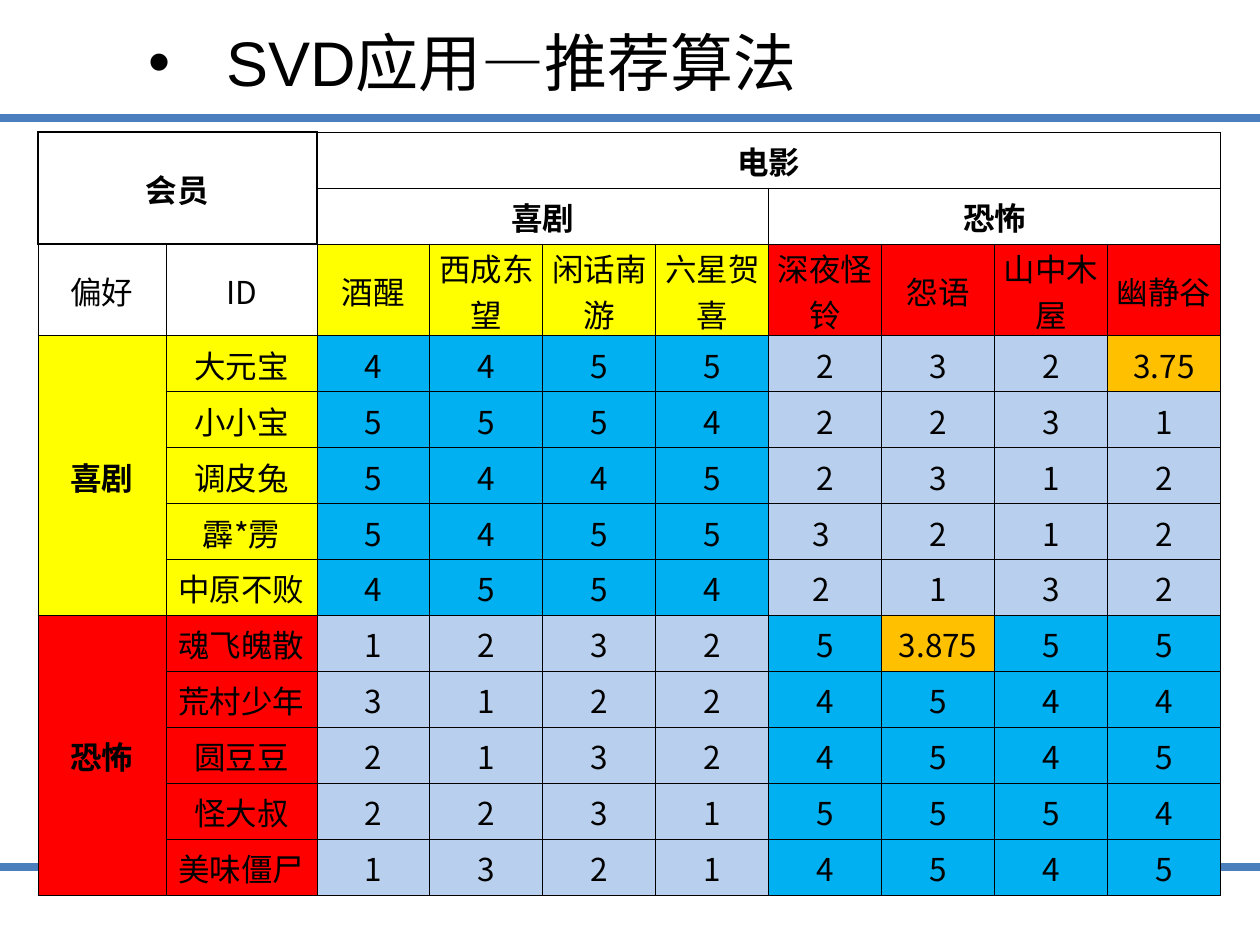
from lxml.etree import SubElement as Sub
from pptx import Presentation
from pptx.dml.color import RGBColor as RGB
from pptx.enum.shapes import MSO_CONNECTOR as CONN
from pptx.enum.text import MSO_ANCHOR as ANCHOR, PP_ALIGN as ALIGN
from pptx.oxml.ns import qn
from pptx.util import Pt

# Content
TITLE = "SVD应用—推荐算法"
FILMS = ["酒醒", "西成东望", "闲话南游", "六星贺喜",
         "深夜怪铃", "怨语", "山中木屋", "幽静谷"]
USERS = [
    ("大元宝", ["4", "4", "5", "5", "2", "3", "2", "3.75"]),
    ("小小宝", ["5", "5", "5", "4", "2", "2", "3", "1"]),
    ("调皮兔", ["5", "4", "4", "5", "2", "3", "1", "2"]),
    ("霹*雳", ["5", "4", "5", "5", "3 ", "2", "1", "2"]),
    ("中原不败", ["4", "5", "5", "4", "2 ", "1", "3", "2"]),
    ("魂飞魄散", ["1", "2", "3", "2", "5", "3.875", "5", "5"]),
    ("荒村少年", ["3", "1", "2", "2", "4", "5", "4", "4"]),
    ("圆豆豆", ["2", "1", "3", "2", "4", "5", "4", "5"]),
    ("怪大叔", ["2", "2", "3", "1", "5", "5", "5", "4"]),
    ("美味僵尸", ["1", "3", "2", "1", "4", "5", "4", "5"]),
]
# Merged heads: row, column, rows, columns, text
HEADS = [
    (0, 0, 2, 2, "会员"), (0, 2, 1, 8, "电影"),
    (1, 2, 1, 4, "喜剧"), (1, 6, 1, 4, "恐怖"),
    (3, 0, 5, 1, "喜剧"), (8, 0, 5, 1, "恐怖"),
]

# Style
BLACK, WHITE = RGB(0, 0, 0), RGB(255, 255, 255)
BLUE = RGB(0x4B, 0x7E, 0xBC)
YELLOW, RED = RGB(255, 255, 0), RGB(255, 0, 0)
HIGH, LOW = RGB(0, 0xB0, 0xF0), RGB(0xB8, 0xD0, 0xED)
GUESS = RGB(255, 0xC0, 0)
SANS, HAN = "Arial", "Noto Sans CJK SC"
KINDS = [YELLOW, RED]
COLS = [128, 151] + [113] * 8
ROWS = [56, 56, 92] + [56] * 10


def px(n):
    return n * 914400 // 126


def write(para, text, size, face, bold=False):
    para.alignment = ALIGN.CENTER
    run = para.add_run()
    run.text = text
    font = run.font
    font.size, font.name, font.bold = Pt(size), face, bold
    font.color.rgb = BLACK
    Sub(font._element, qn("a:ea"), typeface=HAN)


def rule(slide, y):
    line = slide.shapes.add_connector(CONN.STRAIGHT, 0, px(y), px(1260), px(y))
    line.line.color.rgb, line.line.width = BLUE, Pt(5)
    Sub(line._element.spPr, qn("a:effectLst"))


def edge(cell, row, col):
    """Half-point borders, one point round the member head."""
    head = row < 2 and col < 2
    wide = {
        "L": head or (row < 2 and col == 2),
        "R": head,
        "T": head or (row == 2 and col < 2),
        "B": head,
    }
    props = cell._tc.get_or_add_tcPr()
    for side, thick in wide.items():
        line = Sub(props, qn("a:ln" + side), w=str(Pt(1 if thick else 0.5)))
        fill = Sub(line, qn("a:solidFill"))
        Sub(fill, qn("a:srgbClr"), val=str(BLACK))


def paint(row, col, text):
    """Colour by genre, or by whether film and member genres agree."""
    if row < 2 or (row == 2 and col < 2):
        return WHITE
    if row == 2:
        return KINDS[col >= 6]
    if col < 2:
        return KINDS[row >= 8]
    if "." in text:
        return GUESS
    return HIGH if (row >= 8) == (col >= 6) else LOW


def main():
    deck = Presentation()
    deck.slide_width, deck.slide_height = px(1260), px(945)
    slide = deck.slides.add_slide(deck.slide_layouts[6])

    # Rules across the slide
    for y in (118, 867):
        rule(slide, y)

    # Title with a bullet
    box = slide.shapes.add_textbox(px(38), px(13), px(869), px(97))
    frame = box.text_frame
    frame.word_wrap, frame.vertical_anchor = True, ANCHOR.MIDDLE
    para = frame.paragraphs[0]
    props = para._p.get_or_add_pPr()
    props.set("marL", str(px(78)))
    props.set("indent", str(-px(78)))
    Sub(props, qn("a:buFont"), typeface=SANS)
    Sub(props, qn("a:buChar"), char="•")
    write(para, TITLE, 36, SANS)

    # Rating table
    table = slide.shapes.add_table(
        len(ROWS), len(COLS), px(38), px(132),
        px(sum(COLS)), px(sum(ROWS))).table
    table.first_row = table.horz_banding = False
    for col, wide in zip(table.columns, COLS):
        col.width = px(wide)
    for row, high in zip(table.rows, ROWS):
        row.height = px(high)

    grid = [[""] * 10, [""] * 10, ["偏好", "ID"] + FILMS]
    grid += [["", name] + marks for name, marks in USERS]
    bold = set()
    for row, col, down, across, text in HEADS:
        grid[row][col] = text
        bold.add((row, col))
        last = table.cell(row + down - 1, col + across - 1)
        table.cell(row, col).merge(last)

    for r, line in enumerate(grid):
        for c, text in enumerate(line):
            cell = table.cell(r, c)
            cell.margin_left = cell.margin_right = cell.margin_top = px(1)
            cell.margin_bottom = 0
            cell.vertical_anchor = ANCHOR.MIDDLE
            edge(cell, r, c)
            cell.fill.solid()
            cell.fill.fore_color.rgb = paint(r, c, text)
            if text:
                write(cell.text_frame.paragraphs[0], text, 18, HAN,
                      (r, c) in bold)

    deck.save("out.pptx")


if __name__ == "__main__":
    main()
